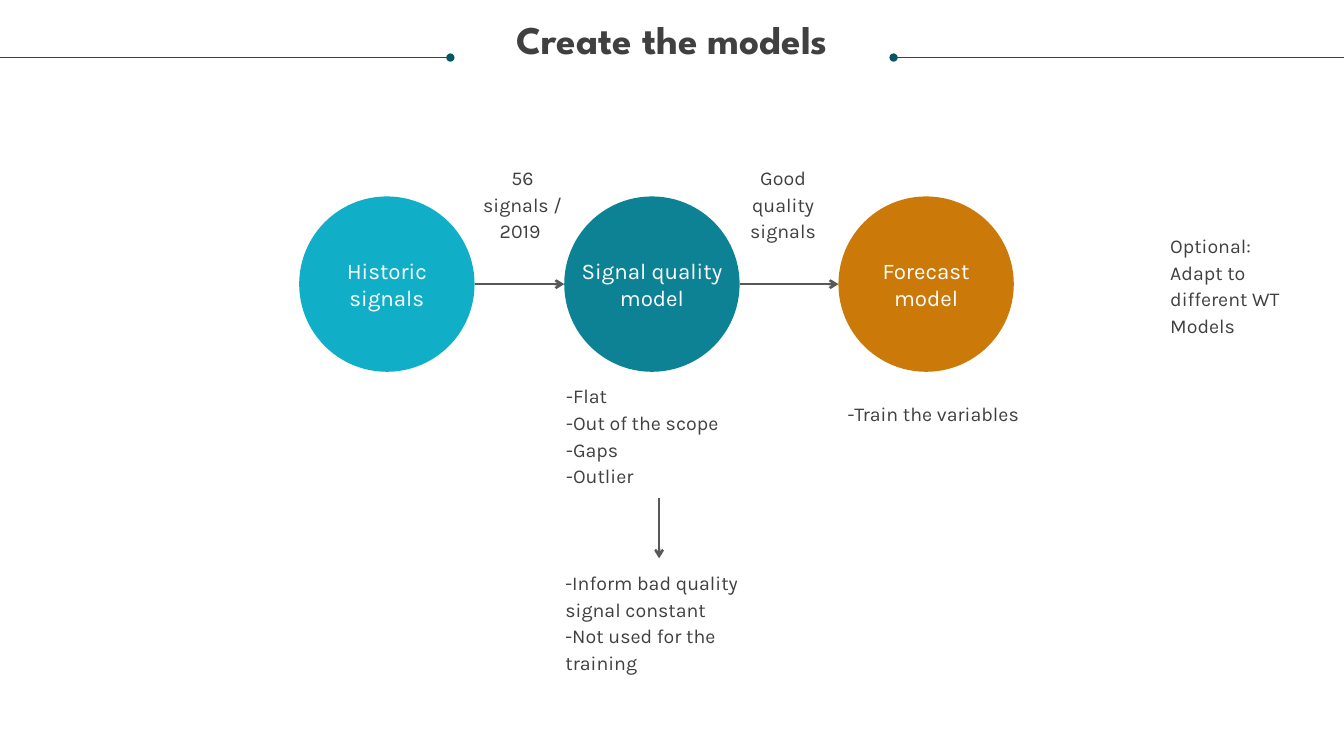
from lxml.etree import SubElement
from pptx import Presentation
from pptx.dml.color import RGBColor
from pptx.enum.shapes import MSO_CONNECTOR, MSO_SHAPE
from pptx.enum.text import MSO_ANCHOR, MSO_AUTO_SIZE, PP_ALIGN
from pptx.oxml.ns import qn
from pptx.util import Cm, Pt

COLORS = {
    "text": "404040", "white": "FFFFFF", "rule": "085764", "arrow": "585858",
    "cyan": "11AEC7", "teal": "0D8295", "orange": "CB7A09",
}
TITLE = "Create the models"
STAGES = [
    ("Historic signals", "cyan", 7.54),
    ("Signal quality model", "teal", 14.22),
    ("Forecast model", "orange", 21.13),
]
FLOW_LABELS = [
    (["56 signals / 2019\u00a0"], 12.04, 4.45, 2.26, 1.32),
    (["Good quality signals"], 18.34, 4.45, 2.79, 1.32),
]
NOTES = [
    (["Optional: ", "Adapt to different WT Models"], 29.49, 6.17, 3.73, 1.98),
    (["-Flat", "-Out of the\u00a0scope", "-Gaps", "-Outlier"], 14.27, 9.63, 4.42, 2.64),
    (["-Train the variables"], 21.36, 10.08, 4.42, 0.61),
    (["-Inform bad quality signal\u00a0constant", "-Not used for the training"],
     14.25, 14.33, 4.42, 2.64),
]
SLIDE_WIDTH, SLIDE_HEIGHT = 33.87, 19.05
DIAMETER, CIRCLE_TOP = 4.42, 4.95
CIRCLE_MIDDLE = CIRCLE_TOP + DIAMETER / 2
STAGE_TEXT_WIDTH, STAGE_TEXT_HEIGHT = 3.81, 1.37
RULE_Y, RULE_LENGTH = 1.45, 11.35
DOWN_X, DOWN_TOP, DOWN_BOTTOM = 16.61, 12.55, 14.07


def color(name):
    return RGBColor.from_string(COLORS[name])


def write(shape, lines, size, font="Karla", fill="text", align=PP_ALIGN.LEFT,
          anchor=MSO_ANCHOR.MIDDLE, spacing=None, bold=False):
    frame = shape.text_frame
    frame.text = "\n".join(lines)
    frame.word_wrap = True
    frame.auto_size = MSO_AUTO_SIZE.NONE
    frame.vertical_anchor = anchor
    frame.margin_left = frame.margin_right = frame.margin_top = frame.margin_bottom = 0
    for paragraph in frame.paragraphs:
        paragraph.alignment = align
        paragraph.line_spacing = spacing
        for run in paragraph.runs:
            run.font.name = font
            run.font.size = Pt(size)
            run.font.bold = bold
            run.font.color.rgb = color(fill)


def add_text(lines, left, top, width, height, size, **style):
    box = slide.shapes.add_textbox(Cm(left), Cm(top), Cm(width), Cm(height))
    write(box, lines, size, **style)


def add_line(start, end, line_color, width, tip):
    line = slide.shapes.add_connector(MSO_CONNECTOR.STRAIGHT, *map(Cm, start + end))
    line.line.color.rgb = color(line_color)
    line.line.width = Pt(width)
    properties = line.line._get_or_add_ln()
    SubElement(properties, qn("a:tailEnd"), type=tip)
    SubElement(properties.getparent(), qn("a:effectLst"))


presentation = Presentation()
presentation.slide_width = Cm(SLIDE_WIDTH)
presentation.slide_height = Cm(SLIDE_HEIGHT)
slide = presentation.slides.add_slide(presentation.slide_layouts[5])

title = slide.shapes.title
title.left, title.top, title.width, title.height = Cm(0.64), Cm(0.53), Cm(32.59), Cm(1.07)
write(title, [TITLE], 28, font="League Spartan", align=PP_ALIGN.CENTER,
      anchor=MSO_ANCHOR.TOP, spacing=0.9, bold=True)

for edge, inner in ((0, RULE_LENGTH), (SLIDE_WIDTH, SLIDE_WIDTH - RULE_LENGTH)):
    add_line((edge, RULE_Y), (inner, RULE_Y), "rule", 0.5, "oval")

for name, fill, left in STAGES:
    circle = slide.shapes.add_shape(
        MSO_SHAPE.OVAL, Cm(left), Cm(CIRCLE_TOP), Cm(DIAMETER), Cm(DIAMETER))
    circle.shadow.inherit = False
    circle.fill.solid()
    circle.fill.fore_color.rgb = color(fill)
    circle.line.fill.background()
    add_text([name], left + (DIAMETER - STAGE_TEXT_WIDTH) / 2,
             CIRCLE_MIDDLE - STAGE_TEXT_HEIGHT / 2, STAGE_TEXT_WIDTH, STAGE_TEXT_HEIGHT,
             16, fill="white", align=PP_ALIGN.CENTER)

for (_, _, left), (_, _, next_left) in zip(STAGES, STAGES[1:]):
    add_line((left + DIAMETER, CIRCLE_MIDDLE), (next_left, CIRCLE_MIDDLE),
             "arrow", 1.75, "arrow")
add_line((DOWN_X, DOWN_TOP), (DOWN_X, DOWN_BOTTOM), "arrow", 1.75, "arrow")

for labels, align in ((FLOW_LABELS, PP_ALIGN.CENTER), (NOTES, PP_ALIGN.LEFT)):
    for lines, *place in labels:
        add_text(lines, *place, 14, align=align, spacing=Pt(19))

presentation.save("out.pptx")
